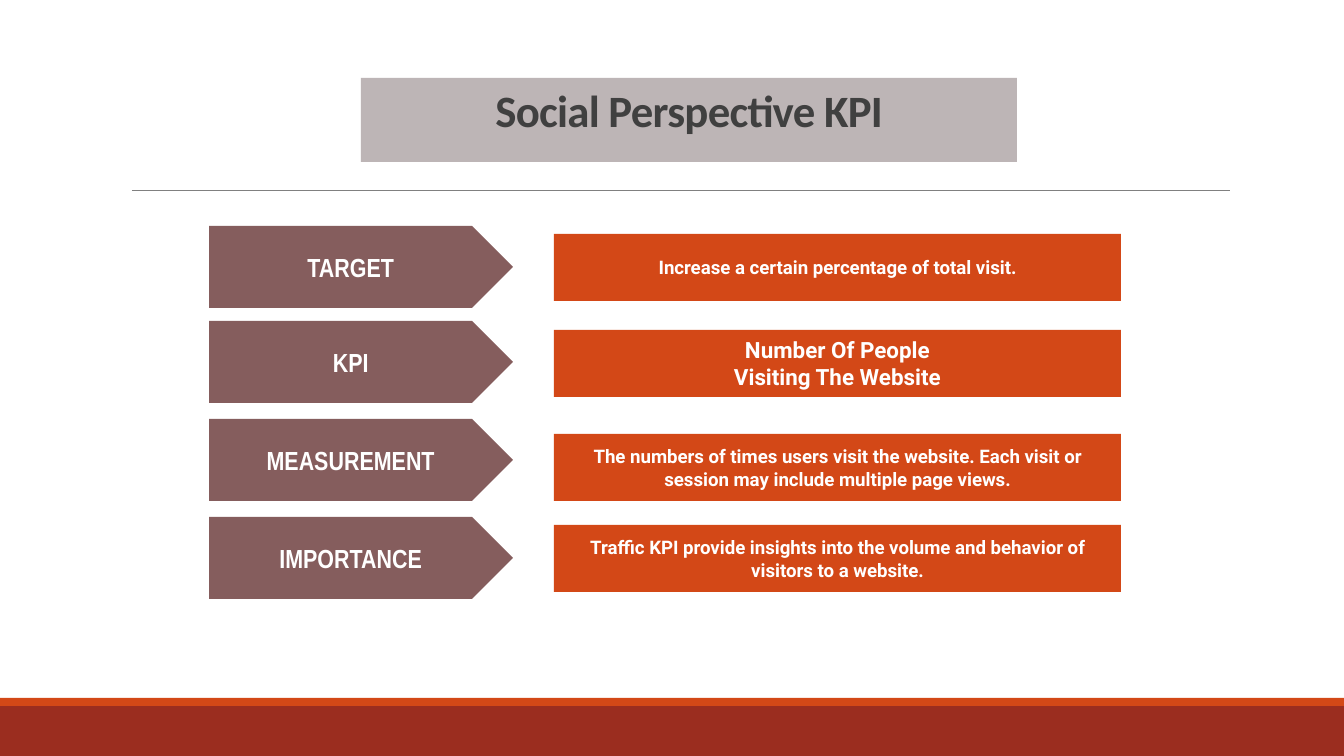
"""Build the Social Perspective KPI slide."""
import pptx
import pptx.dml.color
import pptx.enum.shapes
import pptx.enum.text
import pptx.oxml
import pptx.oxml.ns
import pptx.util

PX = 914400 / 134.4
PAGE = (0, 0, 1344, 756)
COLOURS = {
    "footer": "9B2D1F",
    "accent": "D34817",
    "rule": "808080",
    "title_fill": "BDB5B6",
    "title_text": "404040",
    "label": "855D5D",
    "light": "FFFFFF",
}
SHAPES = pptx.enum.shapes.MSO_SHAPE
ANCHORS = pptx.enum.text.MSO_ANCHOR
FORMATS = {
    "title": {"name": "Calibri", "size": pptx.util.Pt(24), "bold": True},
    "label": {"name": "Arial Narrow", "size": pptx.util.Pt(14), "bold": True},
    "detail": {"name": "Roboto", "size": pptx.util.Pt(10), "bold": True},
    "headline": {"name": "Roboto", "size": pptx.util.Pt(12), "bold": True},
}
ROWS = [
    ("TARGET", ["Increase a certain percentage of total visit."], "detail", 226, 234),
    ("KPI", ["Number Of People", "Visiting The Website"], "headline", 321, 330),
    ("MEASUREMENT", ["The numbers of times users visit the website. "
                     "Each visit or session may include multiple page views."],
     "detail", 419, 434),
    ("IMPORTANCE", ["Traffic KPI provide insights into the volume and behavior "
                    "of visitors to a website."], "detail", 517, 525),
]


def emu(length):
    """Turn px into EMU."""
    return pptx.util.Emu(round(length * PX))


def colour(name):
    """Return the named colour."""
    return pptx.dml.color.RGBColor.from_string(COLOURS[name])


def fill_shape(shape, name):
    """Give a shape a plain fill without an outline."""
    shape.fill.solid()
    shape.fill.fore_color.rgb = colour(name)
    shape.line.fill.background()


def add_block(page, kind, box, fill):
    """Add a flat preset shape in the given box."""
    shape = page.shapes.add_shape(kind, *map(emu, box))
    shape.shadow.inherit = False
    fill_shape(shape, fill)
    return shape


def write_text(shape, lines, style, text_colour="light", anchor=ANCHORS.MIDDLE):
    """Write centred paragraphs in one text style."""
    frame = shape.text_frame
    settings = {"word_wrap": True, "vertical_anchor": anchor,
                "auto_size": pptx.enum.text.MSO_AUTO_SIZE.NONE}
    for side in ("left", "top", "right", "bottom"):
        settings["margin_" + side] = emu(13)
    for key, value in settings.items():
        setattr(frame, key, value)
    for index, line in enumerate(lines):
        para = frame.add_paragraph() if index else frame.paragraphs[0]
        para.alignment = pptx.enum.text.PP_ALIGN.CENTER
        span = para.add_run()
        span.text = line
        for key, value in FORMATS[style].items():
            setattr(span.font, key, value)
        span.font.color.rgb = colour(text_colour)


def place_footer(page, box):
    """Draw the footer band with its accent strip on top."""
    left, top, width, height = box
    strip = 8
    add_block(page, SHAPES.RECTANGLE, (left, top + strip, width, height - strip), "footer")
    add_block(page, SHAPES.RECTANGLE, (left, top, width, strip), "accent")


def place_rule(page, box):
    """Draw the thin line below the title."""
    left, top, width, height = box
    rule = page.shapes.add_connector(
        pptx.enum.shapes.MSO_CONNECTOR.STRAIGHT,
        *map(emu, (left, top, left + width, top + height)))
    rule.line.color.rgb = colour("rule")
    rule.line.width = pptx.util.Pt(0.5)
    rule._element.spPr.append(pptx.oxml.parse_xml(
        "<a:effectLst %s/>" % pptx.oxml.ns.nsdecls("a")))


def place_title(page, box):
    """Move and format the title placeholder."""
    title = page.shapes.title
    for key, value in zip(("left", "top", "width", "height"), box):
        setattr(title, key, emu(value))
    fill_shape(title, "title_fill")
    write_text(title, ["Social Perspective KPI"], "title", "title_text", ANCHORS.TOP)
    para = title.text_frame.paragraphs[0]
    para.line_spacing = 0.85
    para.runs[0]._r.get_or_add_rPr().set("spc", "-40")


def place_rows(page, box):
    """Place each label arrow and its description bar."""
    left, top, width, height = box
    label_width, label_height, bar_height, bar_offset = 304, 82, 67, 345
    for label, lines, style, label_top, bar_top in ROWS:
        arrow = add_block(page, SHAPES.PENTAGON,
                          (left, label_top, label_width, label_height), "label")
        arrow.adjustments[0] = 0.5
        write_text(arrow, [label], "label")
        bar = add_block(page, SHAPES.RECTANGLE,
                        (left + bar_offset, bar_top, width - bar_offset, bar_height),
                        "accent")
        write_text(bar, lines, style)


def main():
    """Build and save the deck."""
    deck = pptx.Presentation()
    deck.slide_width, deck.slide_height = map(emu, PAGE[2:])
    page = deck.slides.add_slide(deck.slide_layouts[5])
    place_footer(page, (0, 698, 1344, 58))
    place_rule(page, (132, 191, 1098, 0))
    place_title(page, (361, 78, 656, 84))
    place_rows(page, (209, 226, 912, 373))
    deck.save("out.pptx")


if __name__ == "__main__":
    main()
